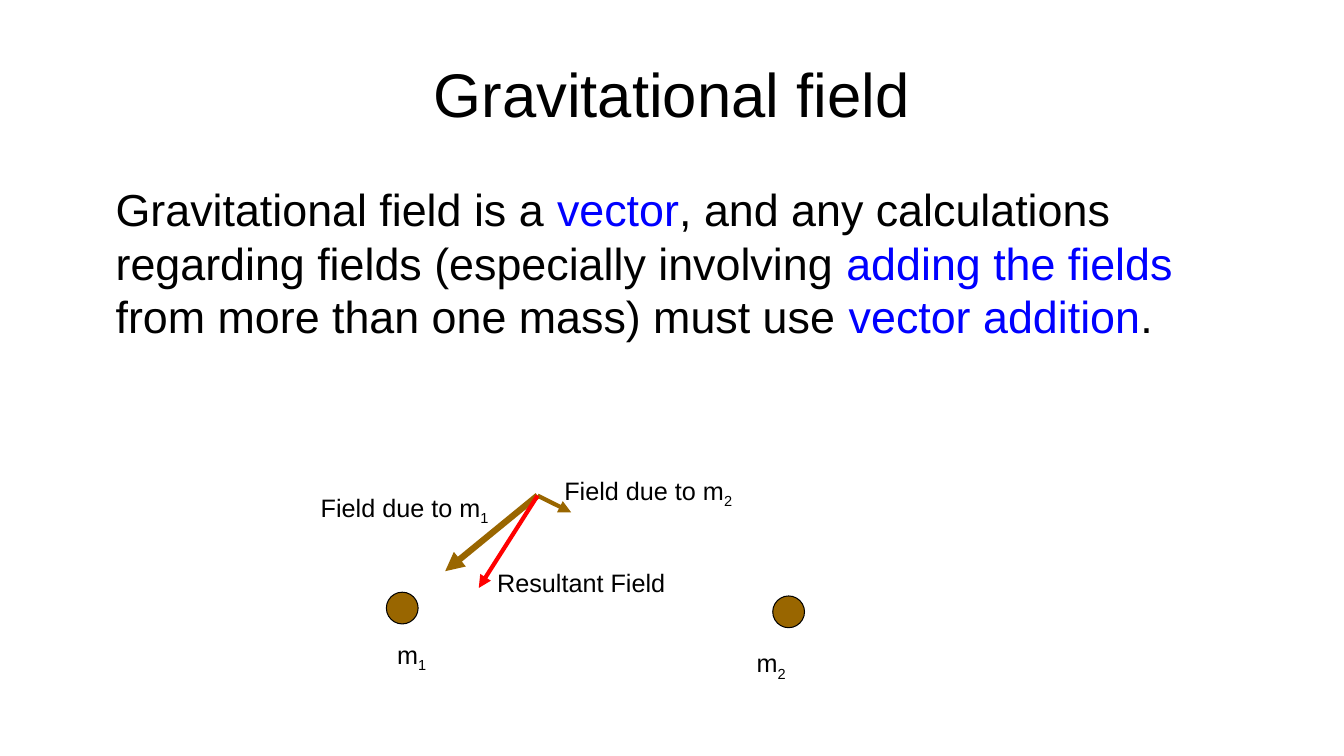
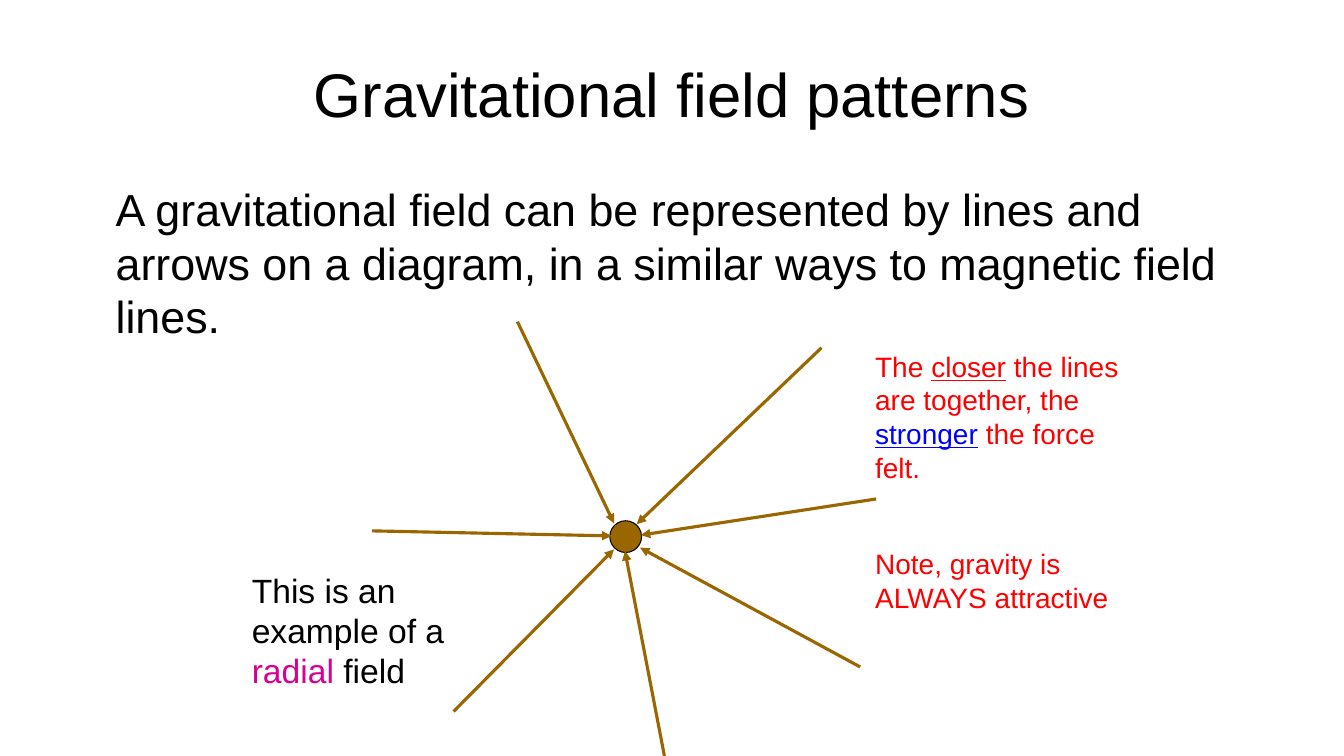
from pptx import Presentation
from pptx.dml.color import RGBColor
from pptx.enum.shapes import MSO_CONNECTOR as Connector, MSO_SHAPE as Preset
from pptx.enum.text import MSO_ANCHOR as Anchor, MSO_AUTO_SIZE as AutoSize, PP_ALIGN as Align
from pptx.oxml.ns import qn
from pptx.util import Inches, Pt
from lxml.etree import SubElement

BLACK, BROWN, RED, BLUE, PINK = "000000", "996600", "FF0000", "0000FF", "D60093"
COLUMNS, ROWS = 160, 90


def color(value):
    return RGBColor.from_string(value)


class FieldDeck:
    font = "Arial"
    title_size, body_size, label_size = 44, 32, 18
    title_area = (8, 3.6, 144, 15)
    body_area = (8, 21, 144, 59.4)
    mass_size = 3.78

    def __init__(self):
        self.deck = Presentation()
        self.deck.slide_width, self.deck.slide_height = Inches(13.33), Inches(7.5)
        self.page = None

    def grid(self, column, row):
        return (round(self.deck.slide_width * column / COLUMNS),
                round(self.deck.slide_height * row / ROWS))

    def place(self, shape, area):
        shape.left, shape.top = self.grid(*area[:2])
        shape.width, shape.height = self.grid(*area[2:])

    def add_spans(self, para, spans, size, ink=BLACK):
        for text, style in spans:
            span = para.add_run()
            span.text = text
            span.font.name, span.font.size = self.font, Pt(size)
            span.font.color.rgb = color(style.get("ink", ink))
            if style.get("underline"):
                span.font.underline = True
            if style.get("subscript"):
                span._r.get_or_add_rPr().set("baseline", "-25000")

    def add_page(self, title, body):
        self.page = self.deck.slides.add_slide(self.deck.slide_layouts[1])
        heading, content = self.page.placeholders
        for box, area, anchor in ((heading, self.title_area, Anchor.MIDDLE),
                                  (content, self.body_area, Anchor.TOP)):
            self.place(box, area)
            box.text_frame.auto_size = AutoSize.NONE
            box.text_frame.vertical_anchor = anchor
        para = heading.text_frame.paragraphs[0]
        para.alignment = Align.CENTER
        self.add_spans(para, [(title, {})], self.title_size)
        para = content.text_frame.paragraphs[0]
        properties = para._p.get_or_add_pPr()
        properties.set("marL", str(Inches(0.38)))
        properties.set("indent", "0")
        SubElement(properties, qn("a:buNone"))
        para.space_before = Pt(0)
        self.add_spans(para, body, self.body_size)

    def text(self, area, paragraphs, size=label_size, ink=BLACK, gap=0):
        box = self.page.shapes.add_textbox(0, 0, 0, 0)
        self.place(box, area)
        frame = box.text_frame
        frame.word_wrap = True
        frame.auto_size = AutoSize.SHAPE_TO_FIT_TEXT
        for index, spans in enumerate(paragraphs):
            para = frame.add_paragraph() if index else frame.paragraphs[0]
            para.space_before = Pt(gap if index else 0)
            self.add_spans(para, spans, size, ink)

    def label(self, column, row, text, mass="", width=33.3):
        spans = [(text, {})]
        if mass:
            spans.append((mass, {"subscript": True}))
        self.text((column, row, width, 4.8), [spans])

    def mass(self, column, row):
        circle = self.page.shapes.add_shape(Preset.OVAL, 0, 0, 0, 0)
        self.place(circle, (column, row, self.mass_size, self.mass_size))
        circle.shadow.inherit = False
        circle.fill.solid()
        circle.fill.fore_color.rgb = color(BROWN)
        circle.line.color.rgb = color(BLACK)
        circle.line.width = Pt(0.75)

    def arrow(self, start, end, weight, ink=BROWN):
        arrow = self.page.shapes.add_connector(
            Connector.STRAIGHT, *self.grid(*start), *self.grid(*end))
        arrow.line.color.rgb = color(ink)
        arrow.line.width = Pt(weight)
        SubElement(arrow.line._get_or_add_ln(), qn("a:tailEnd"), type="triangle")
        SubElement(arrow._element.spPr, qn("a:effectLst"))

    def save(self):
        self.deck.save("out.pptx")


def add_vector_page(deck):
    blue = {"ink": BLUE}
    deck.add_page("Gravitational field", [
        ("Gravitational field is a ", {}), ("vector", blue),
        (", and any calculations regarding fields (especially involving ", {}),
        ("adding the fields", blue),
        (" from more than one mass) must use ", {}),
        ("vector addition", blue), (".", {})])
    deck.mass(46, 70.5)
    deck.mass(92, 70.95)
    deck.label(46.1, 75.5, "m", "1", 8.8)
    deck.label(88.9, 76.5, "m", "2", 8.8)
    deck.label(37, 58, "Field due to m", "1")
    point = (64, 59)
    deck.arrow(point, (53, 68), 4.5)
    deck.arrow(point, (68, 61), 3)
    deck.label(66, 56, "Field due to m", "2")
    deck.arrow(point, (57, 70), 3, RED)
    deck.label(58, 67, "Resultant Field")


def add_pattern_page(deck):
    deck.add_page("Gravitational field patterns", [
        ("A gravitational field can be represented by lines and arrows on a diagram, "
         "in a similar ways to magnetic field lines.", {})])
    deck.mass(72.6, 62)
    field_lines = (
        ((97.8, 41.4), (75.8, 62.4)),
        ((104.3, 59.4), (76.3, 63.7)),
        ((102.4, 79.4), (76.2, 65.2)),
        ((79.1, 90), (74.4, 65.6)),
        ((54, 84.7), (73.1, 65.4)),
        ((44.3, 63.2), (72.8, 63.8)),
        ((61.6, 38.3), (73.1, 62.3)))
    for outside, surface in field_lines:
        deck.arrow(outside, surface, 2.25)
    deck.text((28.8, 67.2, 35.2, 15.7), [[
        ("This is an example of a ", {}), ("radial", {"ink": PINK}), (" field", {})]], 24)
    deck.text((103, 41, 32.6, 33.2), [
        [("The ", {}), ("closer", {"underline": True}),
         (" the lines are together, the ", {}),
         ("stronger", {"ink": BLUE, "underline": True}), (" the force felt.", {})],
        [("Note, gravity is ALWAYS attractive", {})]], 20, RED, 45)


def main():
    deck = FieldDeck()
    add_vector_page(deck)
    add_pattern_page(deck)
    deck.save()


if __name__ == "__main__":
    main()
